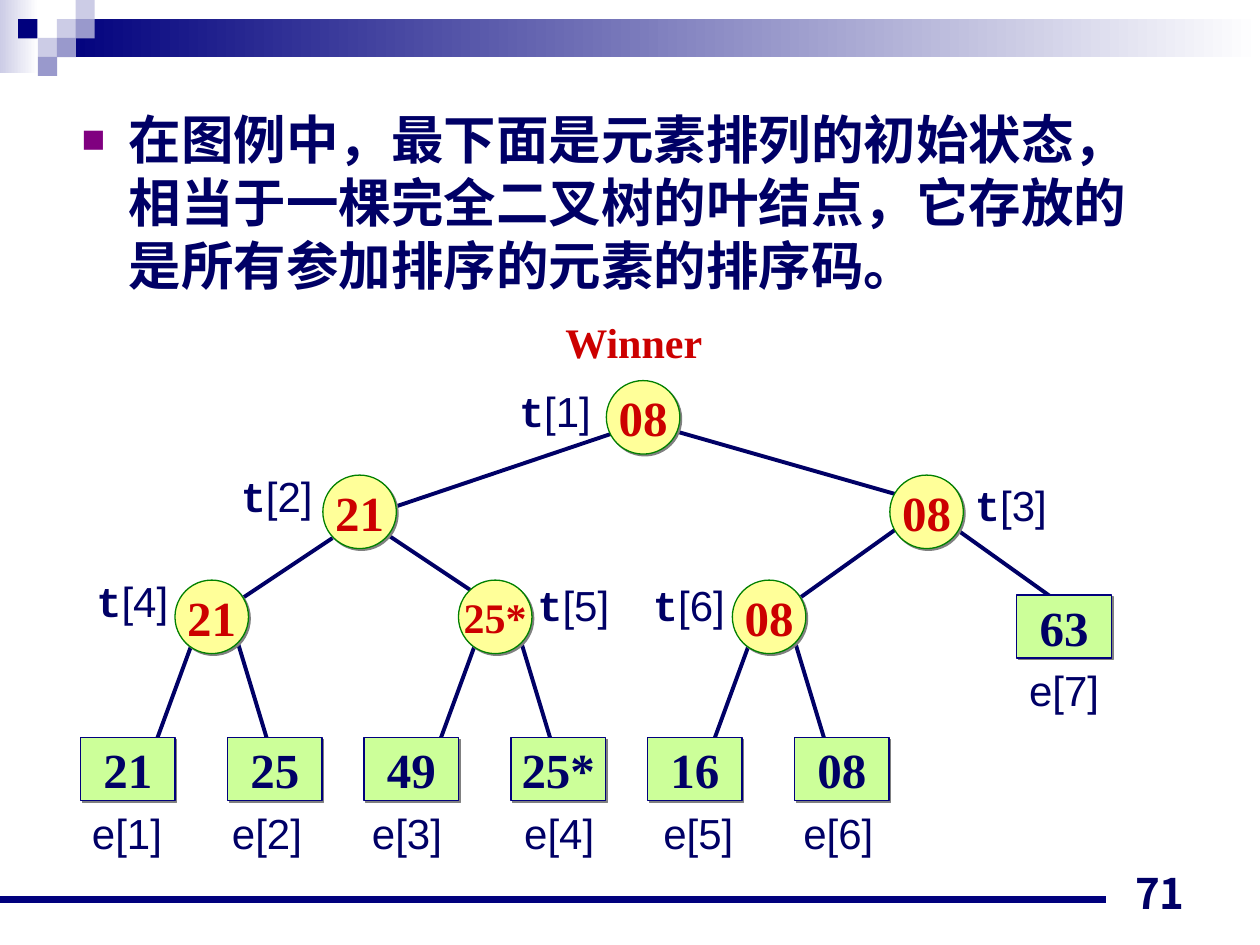
from lxml import etree
from pptx import Presentation
from pptx.dml.color import RGBColor
from pptx.enum import lang, shapes, text
from pptx.oxml import ns
from pptx.util import Pt

NAVY, INK, RED = "00007D", "000066", "CC0000"
PALE, MID = "CCCCE6", "9999CC"
SERIF, SANS, MONO, CJK = "Times New Roman", "Arial", "Courier New", "Noto Sans CJK JP"
NODE_SIZE, LEAF_WIDTH, LEAF_HEIGHT, LEAF_TOP = 42, 54, 36, 421.5

# index: (left, top, value, label left, label top)
NODES = {
    1: (346.5, 217.5, "08", 289.5, 216.5),
    2: (184.5, 271.5, "21", 130.5, 265.5),
    3: (508.5, 271.5, "08", 550, 270.5),
    4: (100, 331.5, "21", 48, 325.5),
    5: (262, 331.5, "25*", 300, 327.5),
    6: (418.5, 331.5, "08", 366, 327.5),
}
LEAVES = [(46, "21"), (130, "25"), (208, "49"), (292, "25*"), (370, "16"), (454, "08")]
LEAF_LABEL_TABS = [80, 160, 247, 326.5, 406.5]
UPPER_EDGES = [
    (388, 247, 514, 283), (226, 289.5, 352, 247), (514, 301, 454.5, 343.5),
    (214.5, 301, 268.5, 337), (544.5, 301, 604, 343.5), (190, 307.5, 136, 343.5),
]
SQUARES = [
    (32.5, 11, PALE), (43.2, 0, PALE), (43.2, 11, MID), (21.7, 21.7, PALE),
    (10.4, 11, NAVY), (32.5, 21.7, MID), (21.7, 32.5, MID),
]


def rgb(color):
    return RGBColor.from_string(color)


def add_xml(parent, tag, **attributes):
    return etree.SubElement(parent, ns.qn(tag), attributes)


def add_span(para, words, *, size=24, font=SANS, color=INK, bold=False, asian=None):
    span = para.add_run()
    span.text = words
    span.font.size = Pt(size)
    span.font.name = font
    span.font.bold = bold
    span.font.color.rgb = rgb(color)
    if asian:
        span.font.language_id = lang.MSO_LANGUAGE_ID.SIMPLIFIED_CHINESE
        add_xml(span.font._element, "a:ea", typeface=asian)


def add_box(parent, left, top, width, height):
    """Add a wrapping text box and return its first paragraph."""
    box = parent.add_textbox(Pt(left), Pt(top), Pt(width), Pt(height))
    box.text_frame.word_wrap = True
    return box.text_frame.paragraphs[0]


def add_block(parent, left, top, width, height, fill=None, kind="RECTANGLE"):
    block = parent.add_shape(shapes.MSO_SHAPE[kind], Pt(left), Pt(top), Pt(width), Pt(height))
    block.shadow.inherit = False
    block.line.fill.background()
    if fill:
        block.fill.solid()
        block.fill.fore_color.rgb = rgb(fill)
    return block


def add_fade(parent, left, top, width, height, color):
    """Add a bar that fades from its colour at the left to white."""
    bar = add_block(parent, left, top, width, height)
    bar.fill.gradient()
    bar.fill.gradient_angle = 180
    for stop, position, shade in zip(bar.fill.gradient_stops, (0, 1), ("FFFFFF", color)):
        stop.position = position
        stop.color.rgb = rgb(shade)


def add_line(parent, x1, y1, x2, y2, color=INK, width=2.25):
    line = parent.add_connector(shapes.MSO_CONNECTOR.STRAIGHT, Pt(x1), Pt(y1), Pt(x2), Pt(y2))
    line.line.color.rgb = rgb(color)
    line.line.width = Pt(width)
    add_xml(line._element.spPr, "a:effectLst")


def add_value(parent, value, left, top, width, height, *, kind, fill, outline, color, size=28):
    """Add a tree element with a hard drop shadow and a centred value."""
    block = add_block(parent, left, top, width, height, fill, kind)
    block.line.color.rgb = rgb(outline)
    block.line.width = Pt(0.75)
    effects = block._element.spPr.find(ns.qn("a:effectLst"))
    shadow = add_xml(effects, "a:outerShdw", dist=str(Pt(1.41)), dir="2700000",
                     algn="ctr", rotWithShape="0")
    add_xml(shadow, "a:srgbClr", val="808080")
    frame = block.text_frame
    frame.word_wrap = False
    frame.vertical_anchor = text.MSO_ANCHOR.MIDDLE
    para = frame.paragraphs[0]
    para.alignment = text.PP_ALIGN.CENTER
    add_span(para, value, size=size, font=SERIF, color=color, bold=True)


def add_node(parent, index):
    left, top, value, label_left, label_top = NODES[index]
    add_value(parent, value, left, top, NODE_SIZE, NODE_SIZE, kind="OVAL", fill="FFFF99",
              outline="008000", color=RED, size=24 if len(value) > 2 else 28)
    label = add_box(parent, label_left, label_top, 60, 36)
    add_span(label, "t", font=MONO, bold=True)
    add_span(label, f"[{index}]")


def add_leaf(parent, value, left, top=LEAF_TOP):
    add_value(parent, value, left, top, LEAF_WIDTH, LEAF_HEIGHT, kind="RECTANGLE",
              fill="CCFF99", outline=NAVY, color=INK)


def add_decoration(page):
    header = page.shapes.add_group_shape().shapes
    add_fade(header, 0, 0, 22, 42, PALE)
    add_fade(header, 32.5, 11, 687.5, 21.5, NAVY)
    for left, top, color in SQUARES:
        add_block(header, left, top, 10.9, 10.9, color)
    add_line(page.shapes, 0, 514, 632, 514, NAVY, 4.5)


def add_body(page):
    para = add_box(page.shapes, 39.6, 57.6, 636, 396)
    props = para._p.get_or_add_pPr()
    props.set("marL", str(Pt(27)))
    props.set("indent", str(Pt(-27)))
    add_xml(add_xml(props, "a:buClr"), "a:srgbClr", val="800080")
    add_xml(props, "a:buSzPct", val="75000")
    add_xml(props, "a:buFont", typeface=SANS)
    add_xml(props, "a:buChar", char="■")
    add_span(para, "在图例中，最下面是元素排列的初始状态，相当于一棵完全二叉树的叶结点，"
                   "它存放的是所有参加排序的元素的排序码。", size=30, bold=True, asian=CJK)


def add_tree(page):
    tree = page.shapes.add_group_shape().shapes
    for edge in UPPER_EDGES:
        add_line(tree, *edge)
    for index in (4, 5, 6):
        left = NODES[index][0]
        add_line(tree, left + 12, 361.5, left - 12, 427)
        add_line(tree, left + 36, 367.5, left + 54, 427)
    for index in NODES:
        add_node(tree, index)
    for left, value in LEAVES:
        add_leaf(tree, value, left)
    add_leaf(tree, "63", 581, 340)

    winner = add_box(tree, 316, 177.5, 100, 37.5)
    add_span(winner, "Winner", font=SERIF, color=RED, bold=True)
    labels = add_box(tree, 45.5, 458, 463, 36)
    tabs = add_xml(labels._p.get_or_add_pPr(), "a:tabLst")
    for position in LEAF_LABEL_TABS:
        add_xml(tabs, "a:tab", pos=str(Pt(position)), algn="l")
    add_span(labels, "\t".join(f"e[{i}]" for i in range(1, len(LEAVES) + 1)))
    add_span(add_box(tree, 581, 376, 60, 36), "e[7]")


def add_page_number(page):
    box = page.shapes.add_textbox(Pt(516), Pt(492), Pt(168), Pt(36))
    box.text_frame.word_wrap = True
    box.text_frame.vertical_anchor = text.MSO_ANCHOR.BOTTOM
    para = box.text_frame.paragraphs[0]
    para.alignment = text.PP_ALIGN.RIGHT
    add_span(para, "71", font=CJK, bold=True)


def main():
    deck = Presentation()
    deck.slide_width, deck.slide_height = Pt(720), Pt(540)
    page = deck.slides.add_slide(deck.slide_layouts[6])
    add_decoration(page)
    add_body(page)
    add_tree(page)
    add_page_number(page)
    deck.save("out.pptx")


if __name__ == "__main__":
    main()
